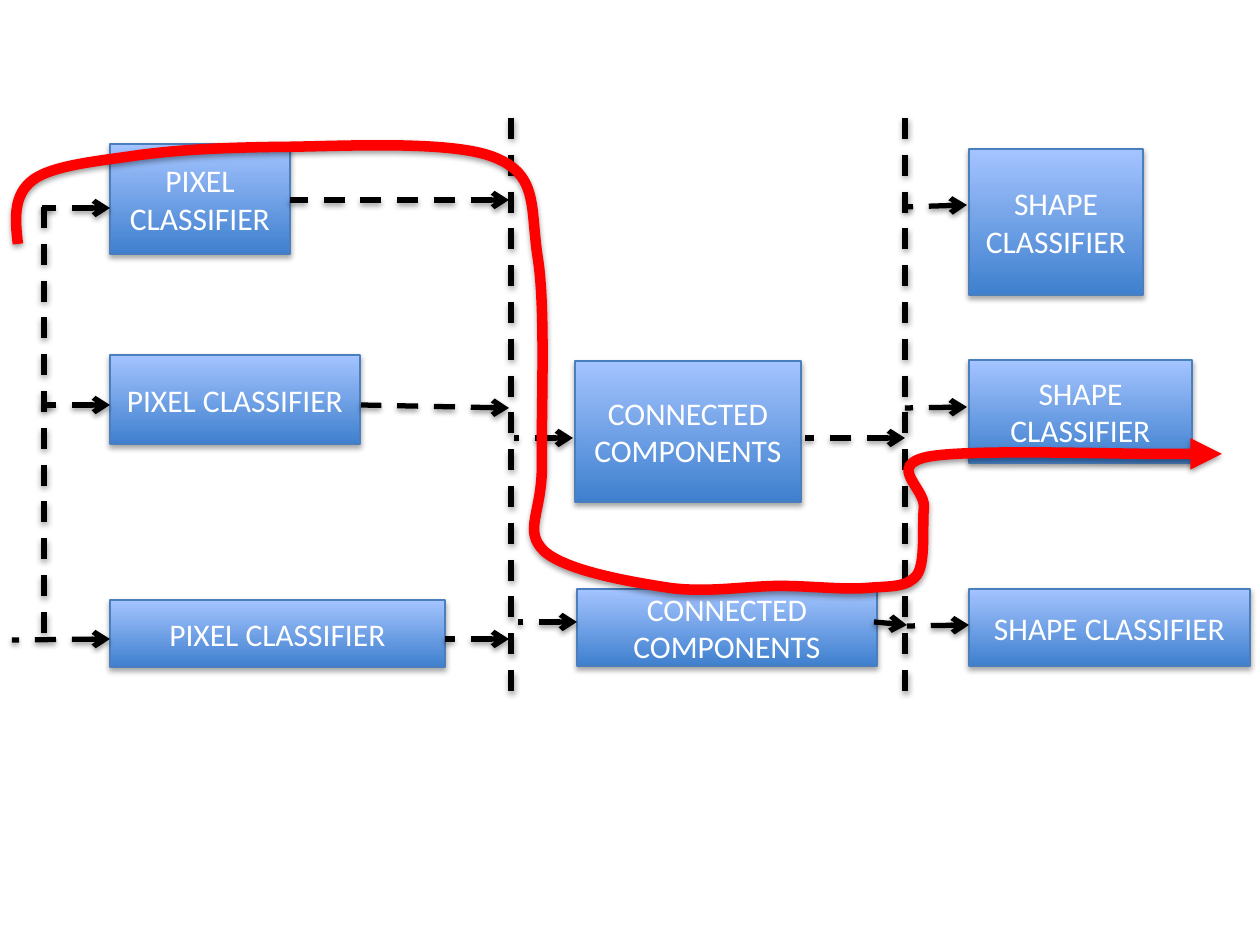
from lxml.etree import SubElement
from pptx import Presentation
from pptx.dml.color import RGBColor
from pptx.enum.dml import MSO_LINE
from pptx.enum.shapes import MSO_CONNECTOR, MSO_SHAPE
from pptx.enum.text import MSO_ANCHOR, PP_ALIGN
from pptx.oxml.ns import qn
from pptx.util import Emu, Inches, Pt

PIXEL = Inches(1) / 126
BLACK = RGBColor(0x00, 0x00, 0x00)
WHITE = RGBColor(0xFF, 0xFF, 0xFF)
RED = RGBColor(0xFF, 0x00, 0x00)
BOX_BOTTOM = RGBColor(0x3F, 0x80, 0xCE)
BOX_TOP = RGBColor(0xA4, 0xC4, 0xFF)
BOX_EDGE = RGBColor(0x4B, 0x7E, 0xBC)

BOXES = {
    "PIXEL CLASSIFIER": [(110, 144, 180, 110), (110, 355, 250, 89), (110, 600, 335, 67)],
    "CONNECTED COMPONENTS": [(575, 361, 226, 141), (577, 589, 300, 77)],
    "SHAPE CLASSIFIER": [(969, 149, 174, 146), (969, 360, 223, 103), (969, 589, 281, 77)],
}
DIVIDERS = [
    (44, 207, 44, 639),
    (511, 118, 511, 702),
    (905, 118, 905, 702),
]
ARROWS = [
    (110, 639, 12, 640), (110, 208, 42, 208), (110, 405, 42, 405),
    (509, 200, 290, 200), (509, 408, 361, 405), (509, 639, 445, 639),
    (573, 438, 514, 438), (577, 622, 518, 622),
    (905, 438, 805, 438), (907, 625, 874, 622),
    (967, 205, 905, 207), (967, 407, 905, 408), (969, 625, 907, 626),
]
ROUTE_START = (18, 244)
ROUTE_CURVES = [
    [(15, 219), (13, 195), (33, 180)],
    [(53, 165), (100, 161), (140, 155)],
    [(180, 150), (214, 148), (273, 147)],
    [(333, 147), (452, 139), (496, 158)],
    [(539, 176), (530, 208), (538, 259)],
    [(546, 310), (541, 416), (542, 465)],
    [(542, 514), (523, 530), (544, 551)],
    [(566, 571), (631, 582), (670, 588)],
    [(709, 593), (747, 586), (780, 586)],
    [(811, 586), (844, 590), (867, 588)],
    [(890, 586), (907, 588), (917, 575)],
    [(926, 562), (922, 527), (924, 507)],
    [(925, 488), (887, 466), (927, 457)],
    [(966, 449), (1109, 454), (1158, 454)],
    [(1207, 454), (1222, 454), (1222, 454)],
]


def scale(*pixels):
    return [Emu(round(value * PIXEL)) for value in pixels]


def add_shadow(shape, opacity, distance):
    properties = shape.element.spPr
    for effects in properties.findall(qn("a:effectLst")):
        properties.remove(effects)
    effects = SubElement(properties, qn("a:effectLst"))
    shadow = SubElement(effects, qn("a:outerShdw"), blurRad="40000", dist=str(distance),
                        dir="5400000", rotWithShape="0")
    color = SubElement(shadow, qn("a:srgbClr"), val=str(BLACK))
    SubElement(color, qn("a:alpha"), val=str(opacity * 1000))


def add_arrowhead(shape, end, kind):
    SubElement(shape.element.spPr.find(qn("a:ln")), qn(end), type=kind)


def add_box(slide, text, bounds):
    box = slide.shapes.add_shape(MSO_SHAPE.RECTANGLE, *scale(*bounds))
    box.fill.gradient()
    box.fill.gradient_angle = 90
    for stop, color in zip(box.fill.gradient_stops, (BOX_BOTTOM, BOX_TOP)):
        stop.color.rgb = color
    box.line.color.rgb = BOX_EDGE
    box.line.width = Pt(0.75)
    add_shadow(box, 35, 23000)
    frame = box.text_frame
    frame.word_wrap = True
    frame.vertical_anchor = MSO_ANCHOR.MIDDLE
    paragraph = frame.paragraphs[0]
    paragraph.alignment = PP_ALIGN.CENTER
    run = paragraph.add_run()
    run.text = text
    run.font.name = "Calibri"
    run.font.size = Pt(18)
    run.font.color.rgb = WHITE


def add_dashed_line(slide, ends, arrow):
    line = slide.shapes.add_connector(MSO_CONNECTOR.STRAIGHT, *scale(*ends))
    line.line.color.rgb = BLACK
    line.line.width = Pt(3)
    line.line.dash_style = MSO_LINE.DASH
    if arrow:
        add_arrowhead(line, "a:headEnd", "arrow")
    add_shadow(line, 38, 20000)


def add_route(slide):
    builder = slide.shapes.build_freeform(*scale(*ROUTE_START), scale=1.0)
    points = [scale(*point) for curve in ROUTE_CURVES for point in curve]
    builder.add_line_segments(points, close=False)
    route = builder.convert_to_shape()
    outline = next(route.element.iter(qn("a:path")))
    segments = outline.findall(qn("a:lnTo"))
    for first in range(0, len(segments), 3):
        curve = SubElement(outline, qn("a:cubicBezTo"))
        for segment in segments[first:first + 3]:
            curve.append(segment[0])
            outline.remove(segment)
    route.fill.background()
    route.line.color.rgb = RED
    route.line.width = Pt(6)
    add_arrowhead(route, "a:tailEnd", "triangle")
    add_shadow(route, 38, 20000)


presentation = Presentation()
presentation.slide_width = Inches(10)
presentation.slide_height = Inches(7.5)
slide = presentation.slides.add_slide(presentation.slide_layouts[6])

for text, places in BOXES.items():
    for bounds in places:
        add_box(slide, text, bounds)
for ends in DIVIDERS:
    add_dashed_line(slide, ends, arrow=False)
for ends in ARROWS:
    add_dashed_line(slide, ends, arrow=True)
add_route(slide)

presentation.save("out.pptx")
